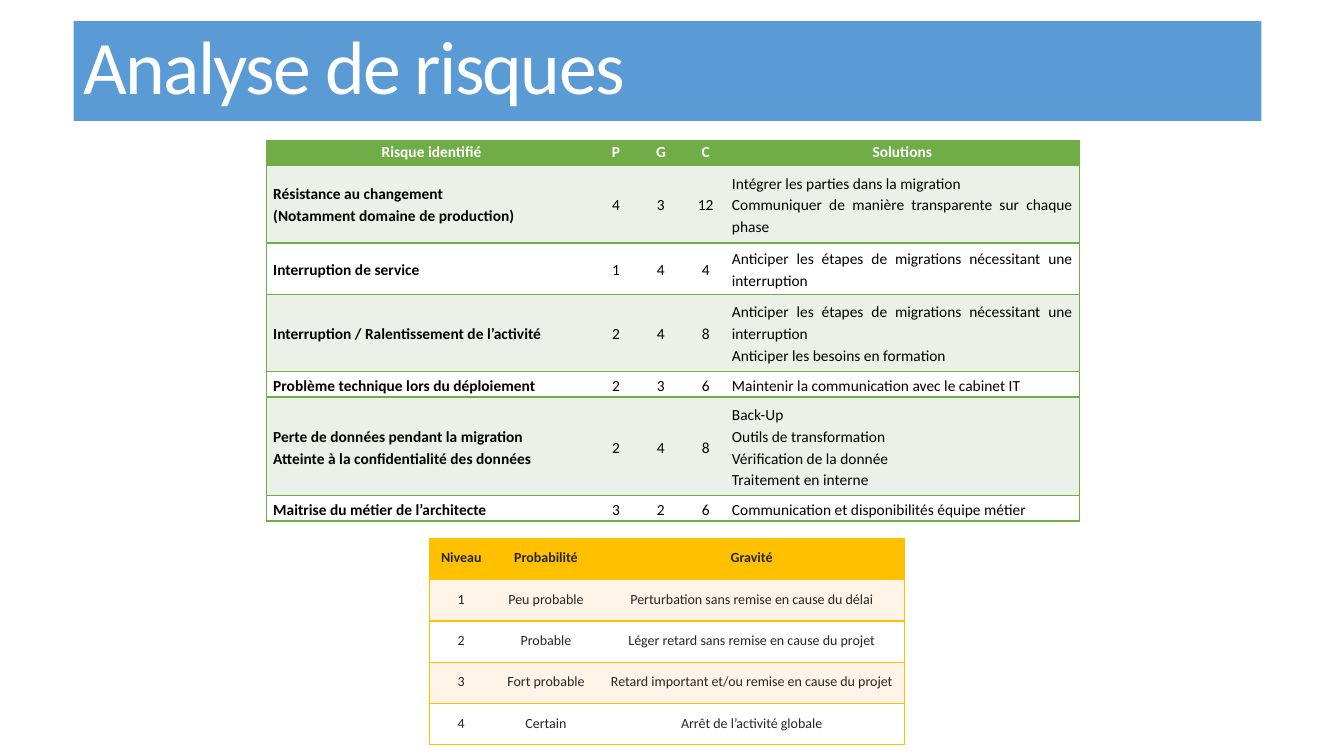
from lxml import etree
from pptx import Presentation
from pptx.dml.color import RGBColor
from pptx.enum.text import MSO_ANCHOR as Anchor, PP_ALIGN as Align
from pptx.oxml.ns import qn
from pptx.util import Inches, Pt

BLUE = RGBColor(0x5B, 0x9B, 0xD5)
GREEN = RGBColor(0x70, 0xAD, 0x47)
MINT = RGBColor(0xEB, 0xF1, 0xE9)
GOLD = RGBColor(0xFF, 0xC0, 0x00)
CREAM = RGBColor(0xFF, 0xF4, 0xE7)
WHITE = RGBColor(0xFF, 0xFF, 0xFF)
BLACK = RGBColor(0x00, 0x00, 0x00)
DARK = RGBColor(0x26, 0x26, 0x26)
FONT = "Calibri"
PLAIN = "{2D5ABB26-0587-4C30-8999-92F81FD0307C}"

TITLE = "Analyse de risques"
RISKS = [
    ("Risque identifié", "P", "G", "C", "Solutions"),
    ("Résistance au changement\n(Notamment domaine de production)", "4", "3", "12",
     "Intégrer les parties dans la migration\n"
     "Communiquer de manière transparente sur chaque phase"),
    ("Interruption de service", "1", "4", "4",
     "Anticiper les étapes de migrations nécessitant une interruption"),
    ("Interruption / Ralentissement de l’activité", "2", "4", "8",
     "Anticiper les étapes de migrations nécessitant une interruption\n"
     "Anticiper les besoins en formation"),
    ("Problème technique lors du déploiement", "2", "3", "6",
     "Maintenir la communication avec le cabinet IT"),
    ("Perte de données pendant la migration\nAtteinte à la confidentialité des données",
     "2", "4", "8",
     "Back-Up\nOutils de transformation\nVérification de la donnée\nTraitement en interne"),
    ("Maitrise du métier de l’architecte", "3", "2", "6",
     "Communication et disponibilités équipe métier"),
]
LEVELS = [
    ("Niveau", "Probabilité", "Gravité"),
    ("1", "Peu probable", "Perturbation sans remise en cause du délai"),
    ("2", "Probable", "Léger retard sans remise en cause du projet"),
    ("3", "Fort probable", "Retard important et/ou remise en cause du projet"),
    ("4", "Certain", "Arrêt de l’activité globale"),
]
RISK_COLS = [3.28, 0.38, 0.51, 0.38, 3.52]
RISK_ROWS = [0.25, 0.77, 0.51, 0.77, 0.25, 0.98, 0.25]
LEVEL_COLS = [0.63, 1.05, 3.03]
LEVEL_ROWS = [0.41] * len(LEVELS)


def style(par, size, color, bold, align, line):
    par.alignment = align
    par.line_spacing = line
    for run in par.runs:
        font = run.font
        font.name, font.size, font.bold = FONT, Pt(size), bold
        font.color.rgb = color


def border(cell, sides, color):
    props = cell._tc.get_or_add_tcPr()
    for pos, side in enumerate(sides):
        line = etree.Element(qn("a:ln" + side), w=str(Pt(1)))
        fill = etree.SubElement(line, qn("a:solidFill"))
        etree.SubElement(fill, qn("a:srgbClr"), val=str(color))
        props.insert(pos, line)


def grid(slide, left, top, cols, rows, data, head, band):
    frame = slide.shapes.add_table(len(rows), len(cols), Inches(left), Inches(top),
                                   Inches(sum(cols)), Inches(sum(rows)))
    table = frame.table
    table._tbl.tblPr.find(qn("a:tableStyleId")).text = PLAIN
    for col, width in zip(table.columns, cols):
        col.width = Inches(width)
    for row, height in zip(table.rows, rows):
        row.height = Inches(height)
    for i, texts in enumerate(data):
        for j, text in enumerate(texts):
            cell = table.cell(i, j)
            cell.text_frame.text = text
            cell.vertical_anchor = Anchor.MIDDLE
            cell.fill.solid()
            cell.fill.fore_color.rgb = head if i == 0 else band if i % 2 else WHITE
            sides = "L" * (j == 0) + "R" * (j == len(cols) - 1) + "TB"
            border(cell, sides, head)
    return table


def main():
    deck = Presentation()
    deck.slide_width, deck.slide_height = Inches(13.33), Inches(7.5)
    slide = deck.slides.add_slide(deck.slide_layouts[5])

    title = slide.shapes.title
    title.left, title.top = Inches(0.73), Inches(0.21)
    title.width, title.height = Inches(11.78), Inches(0.99)
    title.fill.solid()
    title.fill.fore_color.rgb = BLUE
    frame = title.text_frame
    frame.text = TITLE
    frame.vertical_anchor = Anchor.MIDDLE
    par = frame.paragraphs[0]
    style(par, 54, WHITE, False, Align.LEFT, 0.85)
    par.runs[0].font._element.set("spc", "-120")

    risks = grid(slide, 2.64, 1.39, RISK_COLS, RISK_ROWS, RISKS, GREEN, MINT)
    for i, row in enumerate(risks.rows):
        for j, cell in enumerate(row.cells):
            cell.margin_left = cell.margin_right = Inches(0.07)
            cell.margin_top = cell.margin_bottom = 0
            if i == 0:
                cell.vertical_anchor = Anchor.TOP
            align = Align.JUSTIFY if i and j in (0, 4) else Align.CENTER
            for par in cell.text_frame.paragraphs:
                style(par, 11, BLACK if i else WHITE, i == 0 or j == 0, align, 1.15)

    levels = grid(slide, 4.26, 5.34, LEVEL_COLS, LEVEL_ROWS, LEVELS, GOLD, CREAM)
    for i, row in enumerate(levels.rows):
        for cell in row.cells:
            par = cell.text_frame.paragraphs[0]
            style(par, 10, DARK, i == 0, Align.CENTER, 0.75)
            par.space_before, par.space_after = Pt(13), Pt(6)

    deck.save("out.pptx")


if __name__ == "__main__":
    main()
